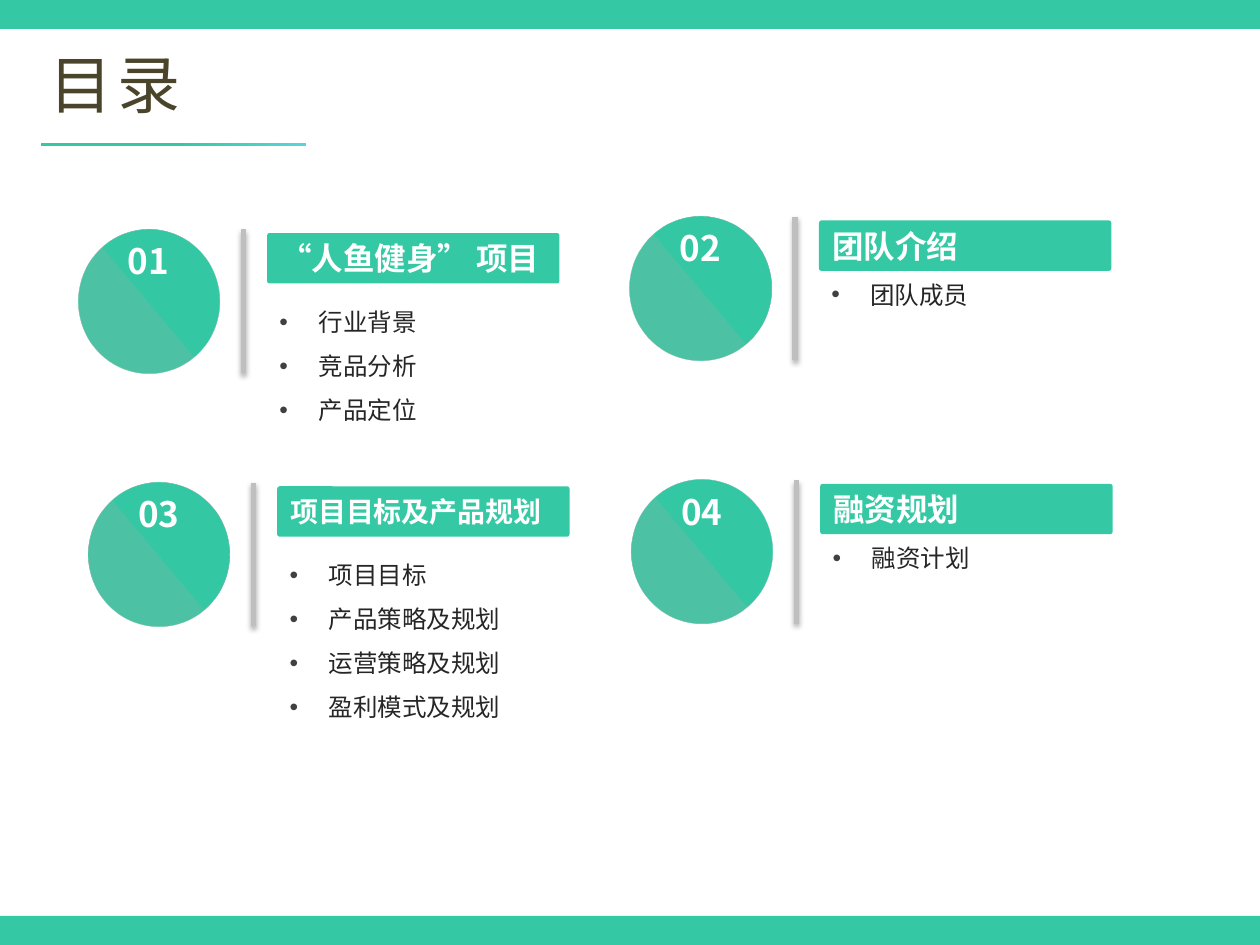
from lxml import etree
from pptx import Presentation
from pptx import util as u
from pptx.dml.color import RGBColor
from pptx.enum import shapes, text
from pptx.oxml.ns import qn

FONT = "Noto Sans CJK SC"
COLORS = {
    "green": "34C9A4", "deep_green": "30B896", "aqua": "58D5D8",
    "white": "FFFFFF", "title": "4A452A", "body": "262626",
    "bullet": "404040", "divider": "BFBFBF", "shadow": "000000",
}
UNIT = u.Inches(0.1)  # the slide is a grid of 100 columns by 75 rows
COLUMNS, ROWS = 100, 75
BAND_ROWS = 2.3

# left and top in grid units, number, heading, heading size, items
SECTIONS = [
    ((50.1, 38.1), "04", "融资规划", 18, ["融资计划"]),
    ((6.2, 18.2), "01", "“人鱼健身” 项目", 18, ["行业背景", "竞品分析", "产品定位"]),
    ((7, 38.3), "03", "项目目标及产品规划", 16,
     ["项目目标", "产品策略及规划", "运营策略及规划", "盈利模式及规划"]),
    ((50, 17.2), "02", "团队介绍", 18, ["团队成员"]),
]


def rgb(name):
    return RGBColor.from_string(COLORS[name])


def grid(*lengths):
    return [round(length * UNIT) for length in lengths]


def child(parent, tag, **attributes):
    return etree.SubElement(parent, qn(tag), attributes)


def add_run(paragraph, content, size, color, bold=False):
    run = paragraph.add_run()
    run.text = content
    run.font.size = u.Pt(size)
    run.font.bold = bold
    run.font.color.rgb = rgb(color)
    run.font.name = FONT
    child(run._r.get_or_add_rPr(), "a:ea", typeface=FONT)
    return run


def add_plain_shape(container, kind, box, color=None):
    shape = container.add_shape(kind, *grid(*box))
    shape.shadow.inherit = False
    shape.line.fill.background()
    if color:
        shape.fill.solid()
        shape.fill.fore_color.rgb = rgb(color)
    return shape


def set_gradient(shape, stops, clockwise_angle):
    shape.fill.gradient()
    shape.fill.gradient_angle = 360 - clockwise_angle
    for stop, (position, color) in zip(shape.fill.gradient_stops, stops):
        stop.position = position
        stop.color.rgb = rgb(color)


def add_text_box(container, box):
    frame = container.add_textbox(*grid(*box)).text_frame
    frame.word_wrap = True
    return frame


def add_bullet(paragraph):
    properties = paragraph._p.get_or_add_pPr()
    properties.set("marL", str(u.Inches(0.31)))
    properties.set("indent", str(-u.Inches(0.31)))
    color = child(properties, "a:buClr")
    child(color, "a:srgbClr", val=COLORS["bullet"])
    child(properties, "a:buFont", typeface="Arial")
    child(properties, "a:buChar", char="•")


def add_title(slide, content, box):
    left, top, width, height = box
    title = slide.shapes.title
    title.left, title.top, title.width, title.height = grid(*box)
    frame = title.text_frame
    frame.vertical_anchor = text.MSO_ANCHOR.TOP
    frame.auto_size = text.MSO_AUTO_SIZE.NONE
    paragraph = frame.paragraphs[0]
    paragraph.alignment = text.PP_ALIGN.LEFT
    run = add_run(paragraph, content, 36, "title")
    run._r.get_or_add_rPr().set("spc", "300")

    rule_box = (left + 0.2, top + height + 1, 21.3, 0.5)
    rule = add_plain_shape(slide.shapes, shapes.MSO_SHAPE.RECTANGLE, rule_box)
    set_gradient(rule, [(0, "aqua"), (0.48, "green")], 180)
    rule.line.color.rgb = rgb("white")
    rule.line.width = u.Pt(2)


def add_disc(container, number, left, top, width, height):
    disc = add_plain_shape(container, shapes.MSO_SHAPE.OVAL, (left, top, width, height))
    set_gradient(disc, [(0.5, "green"), (0.51, "deep_green")], 140)
    last_color = disc._element.spPr.findall(".//" + qn("a:srgbClr"))[-1]
    child(last_color, "a:alpha", val="85000")
    frame = add_text_box(container, (left + width / 4, top + 0.3, width / 2, 4.4))
    frame.paragraphs[0].alignment = text.PP_ALIGN.CENTER
    add_run(frame.paragraphs[0], number, 20, "white", bold=True)


def add_divider(container, x, top, height):
    start_x, start_y, end_y = grid(x, top, top + height)
    divider = container.add_connector(
        shapes.MSO_CONNECTOR.STRAIGHT, start_x, start_y, start_x, end_y)
    divider.line.color.rgb = rgb("divider")
    divider.line.width = u.Pt(3)
    effects = child(divider._element.spPr, "a:effectLst")
    shadow = child(effects, "a:outerShdw", blurRad=str(u.Pt(3.1)),
                   dist=str(u.Pt(1.8)), dir="5400000", rotWithShape="0")
    color = child(shadow, "a:srgbClr", val=COLORS["shadow"])
    child(color, "a:alpha", val="35000")


def add_heading(container, content, size, box):
    heading = add_plain_shape(
        container, shapes.MSO_SHAPE.ROUNDED_RECTANGLE, box, "green")
    heading.adjustments[0] = 0.05
    frame = heading.text_frame
    frame.word_wrap = True
    frame.vertical_anchor = text.MSO_ANCHOR.MIDDLE
    frame.paragraphs[0].alignment = text.PP_ALIGN.LEFT
    add_run(frame.paragraphs[0], content, size, "white", bold=True)


def add_items(container, items, left, top, width):
    frame = add_text_box(container, (left, top, width, 1 + 3.5 * len(items)))
    for index, item in enumerate(items):
        paragraph = frame.add_paragraph() if index else frame.paragraphs[0]
        add_bullet(paragraph)
        if len(items) > 1:
            paragraph.line_spacing = 1.5
        add_run(paragraph, item, 14, "body")


def add_section(slide, corner, number, heading, heading_size, items):
    left, top = corner
    container = slide.shapes.add_group_shape().shapes
    add_disc(container, number, left, top, 11.2, 11.4)
    add_divider(container, left + 13.1, top, 11.4)
    add_heading(container, heading, heading_size, (left + 15, top + 0.3, 23.2, 4))
    add_items(container, items, left + 15, top + 4.5, 21.3)


def add_band(slide, top):
    add_plain_shape(slide.shapes, shapes.MSO_SHAPE.RECTANGLE,
                    (0, top, COLUMNS, BAND_ROWS), "green")


def main():
    presentation = Presentation()
    presentation.slide_width, presentation.slide_height = grid(COLUMNS, ROWS)
    slide = presentation.slides.add_slide(presentation.slide_layouts[5])
    add_title(slide, "目录", (2.9, 3.1, 17.4, 7.1))
    add_band(slide, ROWS - BAND_ROWS)
    for section in SECTIONS:
        add_section(slide, *section)
    add_band(slide, 0)
    presentation.save("out.pptx")


if __name__ == "__main__":
    main()
